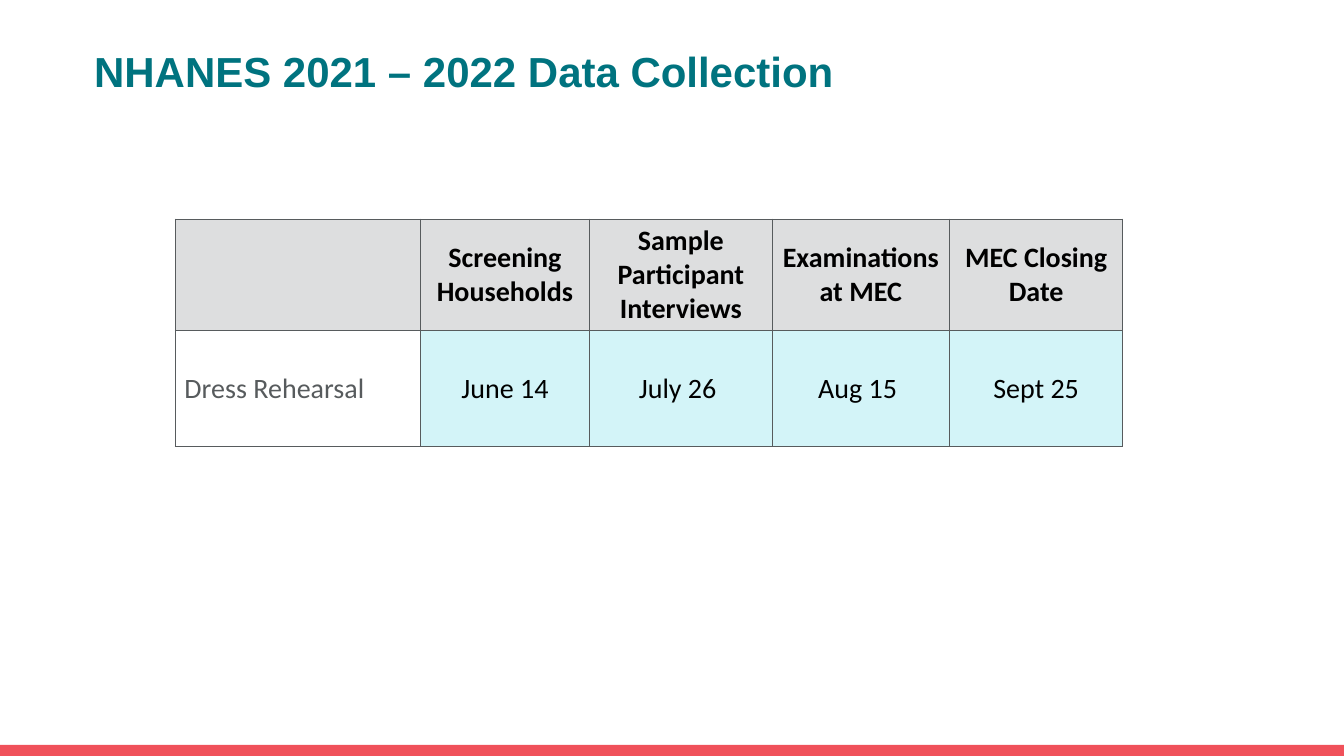
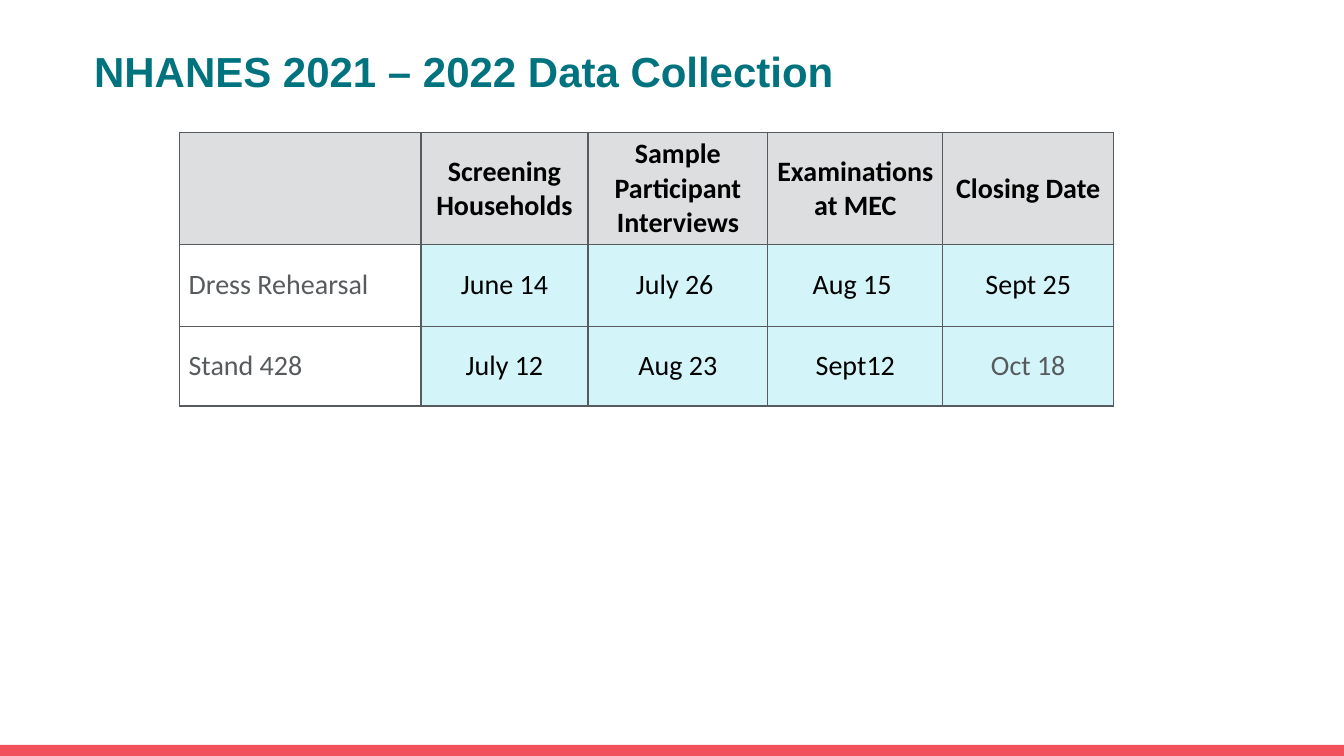
from collections import namedtuple

from pptx import Presentation
from pptx.dml.color import RGBColor
from pptx.enum import shapes, text
from pptx.oxml import parse_xml
from pptx.oxml.ns import nsdecls
from pptx.util import Pt

TEAL = RGBColor(0x00, 0x73, 0x7F)
CORAL = RGBColor(0xF0, 0x51, 0x5A)
SLATE = RGBColor(0x57, 0x5B, 0x5D)
SILVER = RGBColor(0xDD, 0xDE, 0xDF)
AQUA = RGBColor(0xD3, 0xF4, 0xF8)
BLACK = RGBColor(0x00, 0x00, 0x00)

Box = namedtuple("Box", "left top width height")
PAGE = Box(0, 0, 960, 540)
TITLE_BOX = Box(60, 24.5, 828, 52.5)
BAND_HEIGHT = 8
COLUMN_SHARES = (243, 168, 181, 176, 172)

TITLE = "NHANES 2021 – 2022 Data Collection"
HEADINGS = ("", "Screening Households", "Sample Participant Interviews", "Examinations at MEC")
REHEARSAL = ("Dress Rehearsal", "June 14", "July 26 ", "Aug 15 ", "Sept 25")
STAND = ("Stand 428", "July 12", "Aug 23", "Sept12", "Oct 18")


def place(box):
    return [Pt(length) for length in box]


def write(frame, words, font="Calibri", size=20, color=BLACK, bold=False,
          align=text.PP_ALIGN.CENTER):
    para = frame.paragraphs[0]
    para.alignment = align
    span = para.add_run()
    span.text = words
    span.font.name = font
    span.font.size = Pt(size)
    span.font.bold = bold
    span.font.color.rgb = color


def add_band(page, box):
    band = page.shapes.add_shape(shapes.MSO_SHAPE.RECTANGLE, *place(box))
    band.shadow.inherit = False
    band.fill.solid()
    band.fill.fore_color.rgb = CORAL
    band.line.fill.background()


def add_title(page, words, box):
    title = page.shapes.title
    title.left, title.top, title.width, title.height = place(box)
    title.text_frame.vertical_anchor = text.MSO_ANCHOR.MIDDLE
    write(title.text_frame, words, font="Arial", size=30, color=TEAL, bold=True,
          align=text.PP_ALIGN.LEFT)


def add_borders(cell):
    properties = cell._tc.get_or_add_tcPr()
    for position, side in enumerate(("lnL", "lnR", "lnT", "lnB")):
        properties.insert(position, parse_xml(
            f'<a:{side} {nsdecls("a")} w="{Pt(1)}"><a:solidFill>'
            f'<a:srgbClr val="{SLATE}"/></a:solidFill></a:{side}>'))


def format_cell(cell, words, fill=None, **style):
    if fill is None:
        cell.fill.background()
    else:
        cell.fill.solid()
        cell.fill.fore_color.rgb = fill
    add_borders(cell)
    cell.vertical_anchor = text.MSO_ANCHOR.MIDDLE
    cell.margin_left = cell.margin_right = Pt(6.5)
    cell.margin_top = cell.margin_bottom = Pt(3)
    if words:
        write(cell.text_frame, words, **style)


def add_schedule(page, box, row_heights, rows, tentative):
    table = page.shapes.add_table(len(rows), len(COLUMN_SHARES), *place(box)).table
    for column, share in zip(table.columns, COLUMN_SHARES):
        column.width = Pt(box.width * share / sum(COLUMN_SHARES))
    for row, height in zip(table.rows, row_heights):
        row.height = Pt(height)
    for r, row in enumerate(rows):
        for c, words in enumerate(row):
            cell = table.cell(r, c)
            if r == 0:
                format_cell(cell, words, fill=SILVER, bold=True)
            elif c == 0:
                format_cell(cell, words, color=SLATE, align=text.PP_ALIGN.LEFT)
            else:
                color = SLATE if words in tentative else BLACK
                format_cell(cell, words, fill=AQUA, color=color)


def add_schedule_page(deck, left, top, width, row_heights, closing, stands, tentative=()):
    page = deck.slides.add_slide(deck.slide_layouts[5])
    add_band(page, Box(PAGE.left, PAGE.height - BAND_HEIGHT, PAGE.width, BAND_HEIGHT))
    add_title(page, TITLE, TITLE_BOX)
    box = Box(left, top, width, sum(row_heights))
    add_schedule(page, box, row_heights, [HEADINGS + (closing,), *stands], tentative)


def main():
    deck = Presentation()
    deck.slide_width, deck.slide_height = Pt(PAGE.width), Pt(PAGE.height)
    add_schedule_page(deck, 125.3, 156.5, 676.8, (79, 83), "MEC Closing Date", [REHEARSAL])
    add_schedule_page(deck, 128.2, 94.7, 667.4, (80, 58.3, 57), "Closing Date",
                      [REHEARSAL, STAND], tentative=("Oct 18",))
    deck.save("out.pptx")


if __name__ == "__main__":
    main()
